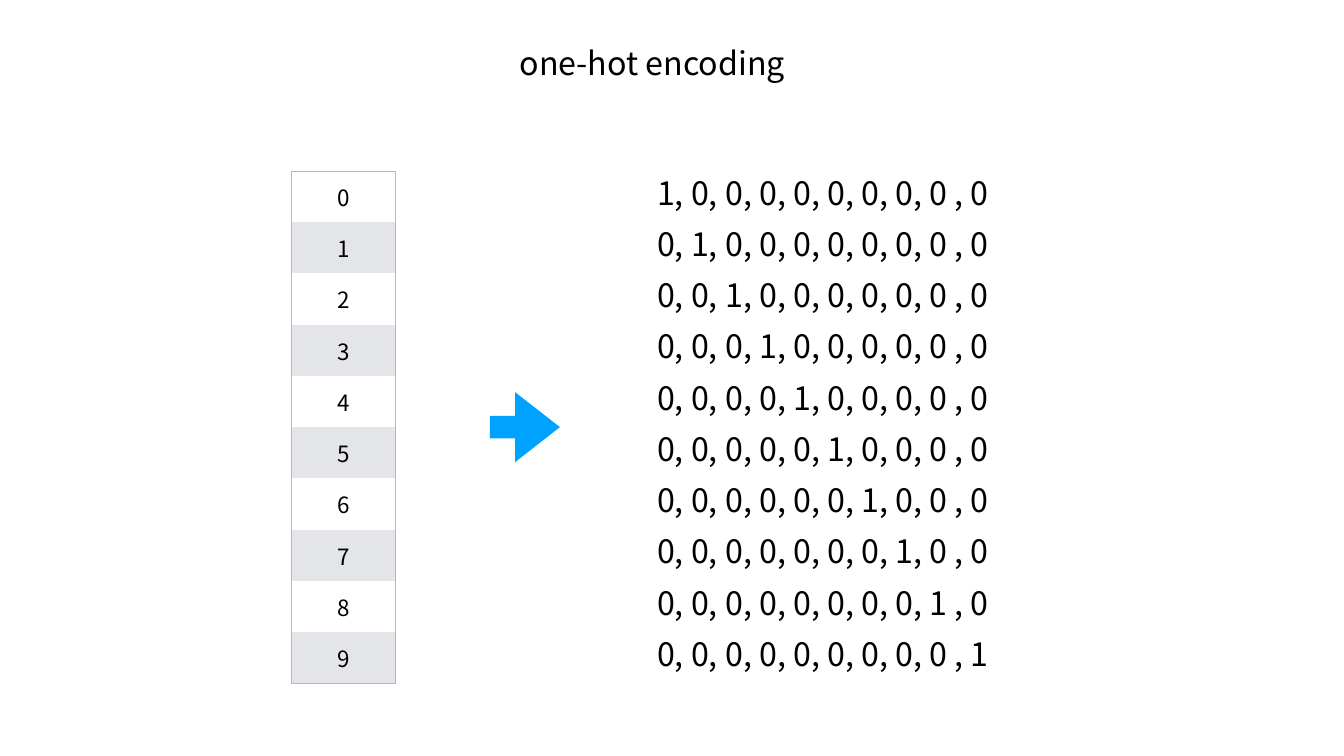
from lxml import etree
from pptx import Presentation
from pptx import util as u
from pptx.dml.color import RGBColor
from pptx.enum import shapes, text
from pptx.oxml.ns import qn

FONT = "Noto Sans CJK JP"
BLACK, WHITE, STRIPE, BORDER, BLUE = "000000", "FFFFFF", "E3E5E8", "B8B8B8", "00A2FF"
DIGITS = 10
ROW_HEIGHT = 1.017
INSET = u.Inches(0.06)


def color(value):
    """Turn a hex string into a colour."""
    return RGBColor.from_string(value)


def inches(*lengths):
    """Convert lengths in inches to slide units."""
    return [u.Inches(length) for length in lengths]


def format_para(para, size, align):
    """Apply the alignment and font of the slide to a paragraph."""
    para.alignment = align
    for span in para.runs:
        span.font.name = FONT
        span.font.size = u.Pt(size)
        span.font.color.rgb = color(BLACK)


def fill_text(shape, words):
    """Put one left-aligned line of large text in a shape."""
    frame = shape.text_frame
    frame.text = words
    frame.word_wrap = True
    frame.auto_size = text.MSO_AUTO_SIZE.NONE
    frame.vertical_anchor = text.MSO_ANCHOR.MIDDLE
    frame.margin_left = frame.margin_right = INSET
    frame.margin_top = frame.margin_bottom = INSET
    format_para(frame.paragraphs[0], 46, text.PP_ALIGN.LEFT)


def set_borders(cell, visible_sides):
    """Draw the named sides of a cell and hide the others."""
    properties = cell._tc.get_or_add_tcPr()
    for position, side in enumerate("LRTB"):
        line = etree.Element(qn(f"a:ln{side}"), w=str(u.Pt(1)))
        if side in visible_sides:
            fill = etree.SubElement(line, qn("a:solidFill"))
            etree.SubElement(fill, qn("a:srgbClr"), val=BORDER)
        else:
            etree.SubElement(line, qn("a:noFill"))
        properties.insert(position, line)


def add_title(page, left, top, width, height):
    """Place the slide title."""
    title = page.shapes.title
    title.left, title.top, title.width, title.height = inches(left, top, width, height)
    fill_text(title, "one-hot encoding")


def add_digit_table(page, left, top, width):
    """Add the striped column of digits."""
    box = inches(left, top, width, DIGITS * ROW_HEIGHT)
    table = page.shapes.add_table(DIGITS, 1, *box).table
    table.first_row = table.horz_banding = False
    for digit in range(DIGITS):
        table.rows[digit].height = u.Inches(ROW_HEIGHT)
        cell = table.cell(digit, 0)
        cell.text = str(digit)
        cell.vertical_anchor = text.MSO_ANCHOR.MIDDLE
        cell.margin_left = cell.margin_right = INSET
        cell.margin_top = cell.margin_bottom = INSET
        cell.fill.solid()
        cell.fill.fore_color.rgb = color(STRIPE if digit % 2 else WHITE)
        format_para(cell.text_frame.paragraphs[0], 32, text.PP_ALIGN.CENTER)
        sides = "LR" + ("T" if digit == 0 else "") + ("B" if digit == DIGITS - 1 else "")
        set_borders(cell, sides)


def add_vectors(page, left, top, width, height):
    """Add one encoded vector beside each digit."""
    for digit in range(DIGITS):
        bits = ["1" if place == digit else "0" for place in range(DIGITS)]
        words = ", ".join(bits[:-1]) + " , " + bits[-1]
        box = page.shapes.add_textbox(*inches(left, top + digit * ROW_HEIGHT, width, height))
        fill_text(box, words)


def add_arrow(page, left, top, size):
    """Add the arrow from the digits to the vectors."""
    arrow = page.shapes.add_shape(
        shapes.MSO_SHAPE.RIGHT_ARROW, *inches(left, top, size, size))
    arrow.adjustments[0] = 0.32
    arrow.adjustments[1] = 0.64
    arrow.shadow.inherit = False
    arrow.fill.solid()
    arrow.fill.fore_color.rgb = color(BLUE)
    arrow.line.fill.background()


def main():
    """Build and save the slide."""
    deck = Presentation()
    deck.slide_width, deck.slide_height = inches(26.67, 15)
    page = deck.slides.add_slide(deck.slide_layouts.get_by_name("Title Only"))
    page.background.fill.solid()
    page.background.fill.fore_color.rgb = color(WHITE)
    add_title(page, 10.25, 0.86, 6.16, 0.75)
    add_digit_table(page, 5.78, 3.39, 2.07)
    add_vectors(page, 12.98, 3.44, 8.35, 0.75)
    add_arrow(page, 9.72, 7.78, 1.39)
    deck.save("out.pptx")


if __name__ == "__main__":
    main()
